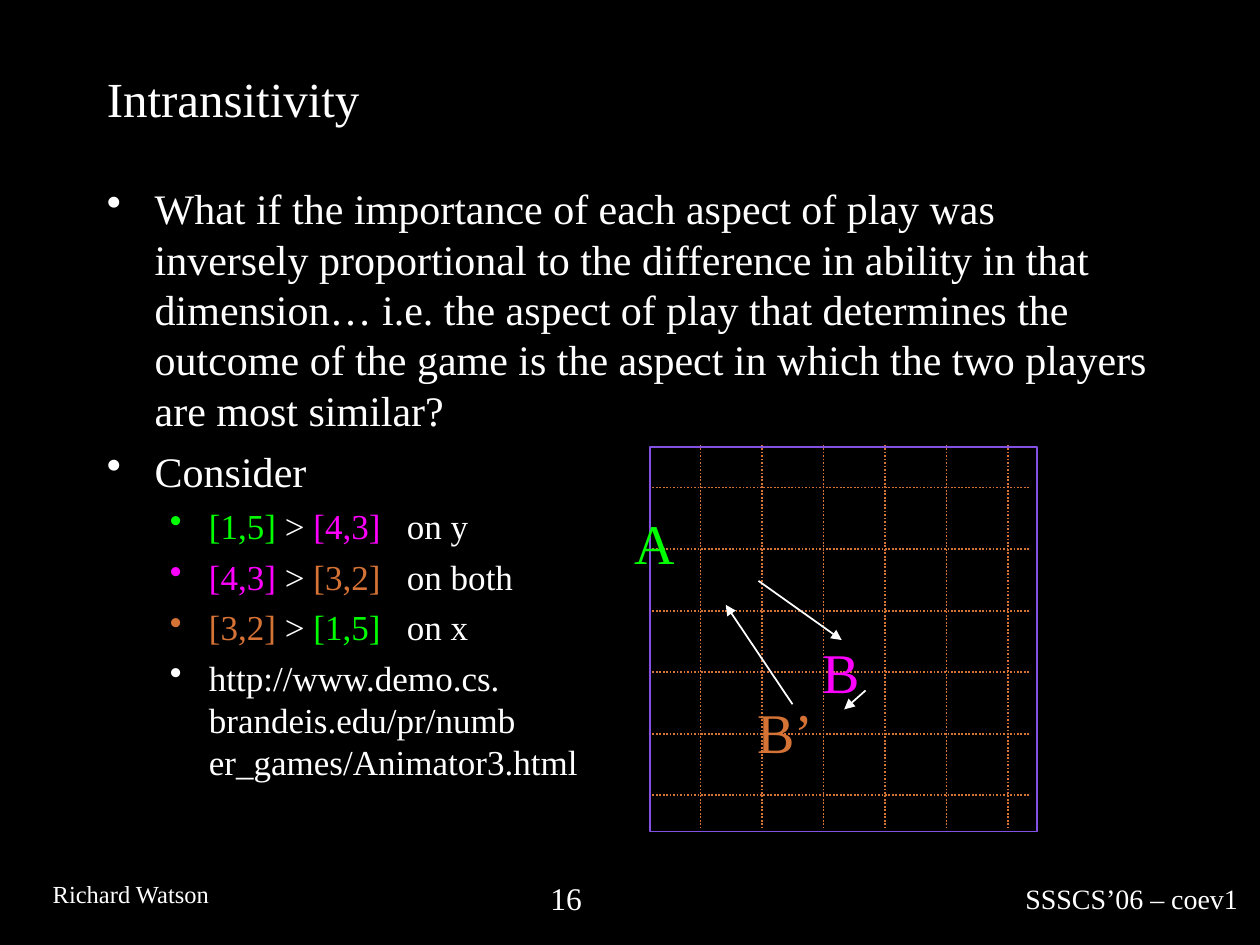
from typing import Any, NamedTuple

from lxml.etree import SubElement
from pptx import Presentation
from pptx.dml.color import RGBColor
from pptx.enum.dml import MSO_LINE
from pptx.enum.shapes import MSO_CONNECTOR, MSO_SHAPE
from pptx.enum.text import MSO_ANCHOR
from pptx.oxml.ns import qn
from pptx.util import Emu, Inches, Pt

WHITE, LIME, PINK, RUST, PLUM = "FFFFFF", "00FF00", "FF00FF", "D57235", "8251E3"
FACE = "Times New Roman"
WIDE, HIGH = Inches(10), Inches(7.5)
GAP = "gap"


class Box(NamedTuple):
    """A frame in percent of the slide's width and height."""
    left: float
    top: float
    width: float
    height: float


class Run(NamedTuple):
    """A stretch of text in one colour."""
    text: str
    tint: str = WHITE


class Item(NamedTuple):
    """A bulleted paragraph."""
    runs: list[Run]
    level: int = 0


class Label(NamedTuple):
    """A single line of text in its frame."""
    run: Run
    size: int
    box: Box


class Line(NamedTuple):
    """A line between two points in percent of the slide."""
    x1: float
    y1: float
    x2: float
    y2: float


class Style(NamedTuple):
    """The look of one bullet level."""
    size: int
    space: int
    left: float
    hang: float


STYLES = [Style(24, 6, 0.38, 0.38), Style(20, 5, 0.81, 0.31)]
A, B, C = Run("[1,5]", LIME), Run("[4,3]", PINK), Run("[3,2]", RUST)
MORE, SPACE = Run(" > "), Run(" ", GAP)

ITEMS = [
    Item([Run("What if the importance of each aspect of play was inversely "
              "proportional to the difference in ability in that dimension… "
              "i.e. the aspect of play that determines the outcome of the game "
              "is the aspect in which the two players are most similar?")]),
    Item([Run("Consider")]),
    Item([A, MORE, B, SPACE, Run("on y")], 1),
    Item([B, MORE, C, SPACE, Run("on both")], 1),
    Item([C, MORE, A, SPACE, Run("on x")], 1),
    Item([Run("http://www.demo.cs.\vbrandeis.edu/pr/numb\v"
              "er_games/Animator3.html")], 1),
]
FOOT = [
    Label(Run("SSSCS’06 – coev1"), 16, Box(80.4, 92.67, 19.6, 4.8)),
    Label(Run("Richard Watson"), 14, Box(3.2, 92.4, 14.6, 4.53)),
    Label(Run("16"), 18, Box(42.7, 92.4, 12.4, 5.33)),
]
TITLE = Label(Run("Intransitivity"), 28, Box(7.5, 5.47, 85, 9.73))
BODY = Box(7.5, 18.67, 85, 73.6)
FRAME = Box(51.6, 47.33, 30.7, 40.67)
MARKS = [
    Label(Run("A", LIME), 32, Box(49.4, 53.2, 12.7, 8.4)),
    Label(Run("B", PINK), 32, Box(64.3, 66.8, 12.5, 8.4)),
    Label(Run("B’", RUST), 32, Box(59.1, 73.2, 13.9, 8.4)),
]
GRID = ([Line(55.6 + 4.88 * i, 47.07, 55.6 + 4.88 * i, 87.6) for i in range(6)]
        + [Line(51.5, 51.6 + 6.51 * i, 81.8, 51.6 + 6.51 * i) for i in range(6)])
ARROWS = [Line(60.2, 61.47, 66.8, 67.73), Line(62.9, 74.53, 57.6, 64),
          Line(68.7, 73.07, 67, 75.07)]


def hue(code: str) -> RGBColor:
    """Turn a hex string into a colour."""
    return RGBColor.from_string(code)


def put(thing: Any, values: dict[str, Any]) -> None:
    """Set each format value on an object."""
    for name, value in values.items():
        setattr(thing, name, value)


def spots(pairs: tuple) -> list[Emu]:
    """Turn percents in x, y order into slide lengths."""
    return [Emu(round(part * (HIGH if i % 2 else WIDE) / 100))
            for i, part in enumerate(pairs)]


def write(para: Any, run: Run, size: int) -> None:
    """Add a run, its line breaks kept within the paragraph."""
    for i, text in enumerate(run.text.split("\v")):
        if i:
            para.add_line_break()
        part = para.add_run()
        part.text = text
        put(part.font, {"name": FACE, "size": Pt(size)})
        part.font.color.rgb = hue(WHITE if run.tint == GAP else run.tint)
        if run.tint == GAP:
            part._r.get_or_add_rPr().set("spc", "1000")


def frame(slide: Any, box: Box) -> Any:
    """Add a wrapping text box and return its text frame."""
    text = slide.shapes.add_textbox(*spots(box)).text_frame
    text.word_wrap = True
    return text


def label(slide: Any, item: Label) -> Any:
    """Draw a line of text and return its text frame."""
    text = frame(slide, item.box)
    write(text.paragraphs[0], item.run, item.size)
    return text


def bullet(para: Any, item: Item, first: bool) -> None:
    """Write a paragraph behind a bullet in its first run's colour."""
    style = STYLES[item.level]
    props = para._p.get_or_add_pPr()
    props.set("marL", str(Inches(style.left)))
    props.set("indent", str(-Inches(style.hang)))
    tint = SubElement(props, qn("a:buClr"))
    SubElement(tint, qn("a:srgbClr")).set("val", item.runs[0].tint)
    SubElement(props, qn("a:buChar")).set("char", "•")
    put(para, {"level": item.level, "space_before": Pt(0 if first else style.space)})
    for run in item.runs:
        write(para, run, style.size)


def stroke(slide: Any, line: Line, tint: str) -> Any:
    """Draw a plain line and return its line format."""
    link = slide.shapes.add_connector(MSO_CONNECTOR.STRAIGHT, *spots(line))
    SubElement(link._element.spPr, qn("a:effectLst"))
    link.line.color.rgb = hue(tint)
    link.line.width = Pt(1)
    return link.line


def main() -> None:
    """Build the slide and save it."""
    deck = Presentation()
    put(deck, {"slide_width": WIDE, "slide_height": HIGH})
    slide = deck.slides.add_slide(deck.slide_layouts[6])
    slide.background.fill.solid()
    slide.background.fill.fore_color.rgb = hue("000000")

    for item in FOOT:
        label(slide, item)
    for line in GRID:
        stroke(slide, line, RUST).dash_style = MSO_LINE.ROUND_DOT
    label(slide, TITLE).vertical_anchor = MSO_ANCHOR.MIDDLE

    text = frame(slide, BODY)
    for i, item in enumerate(ITEMS):
        bullet(text.add_paragraph() if i else text.paragraphs[0], item, not i)

    edge = slide.shapes.add_shape(MSO_SHAPE.RECTANGLE, *spots(FRAME))
    edge.shadow.inherit = False
    edge.fill.background()
    edge.line.color.rgb = hue(PLUM)
    edge.line.width = Pt(1)

    for line in ARROWS:
        tip = stroke(slide, line, WHITE)._get_or_add_ln()
        SubElement(tip, qn("a:tailEnd")).set("type", "triangle")
    for item in MARKS:
        label(slide, item)
    deck.save("out.pptx")


if __name__ == "__main__":
    main()
